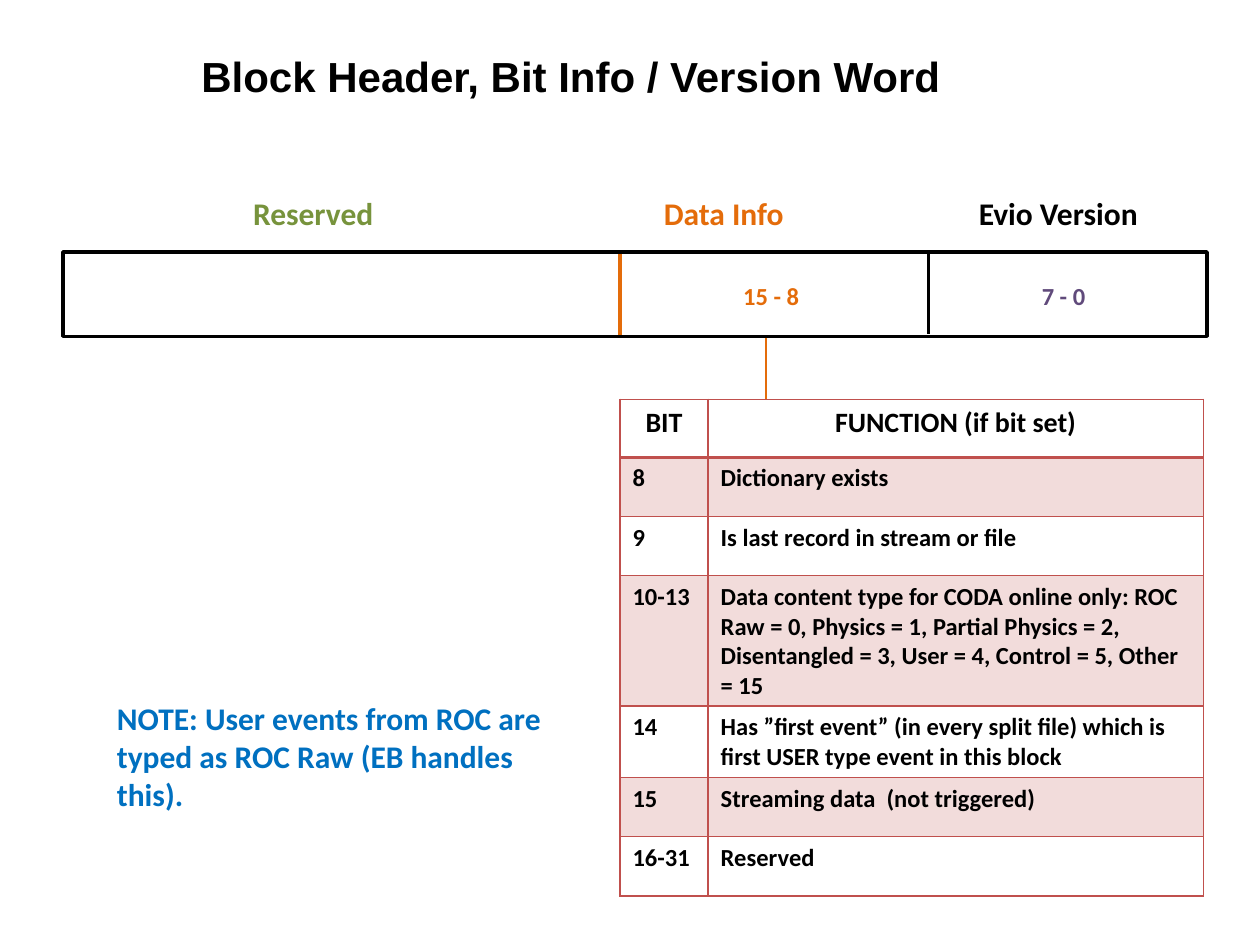
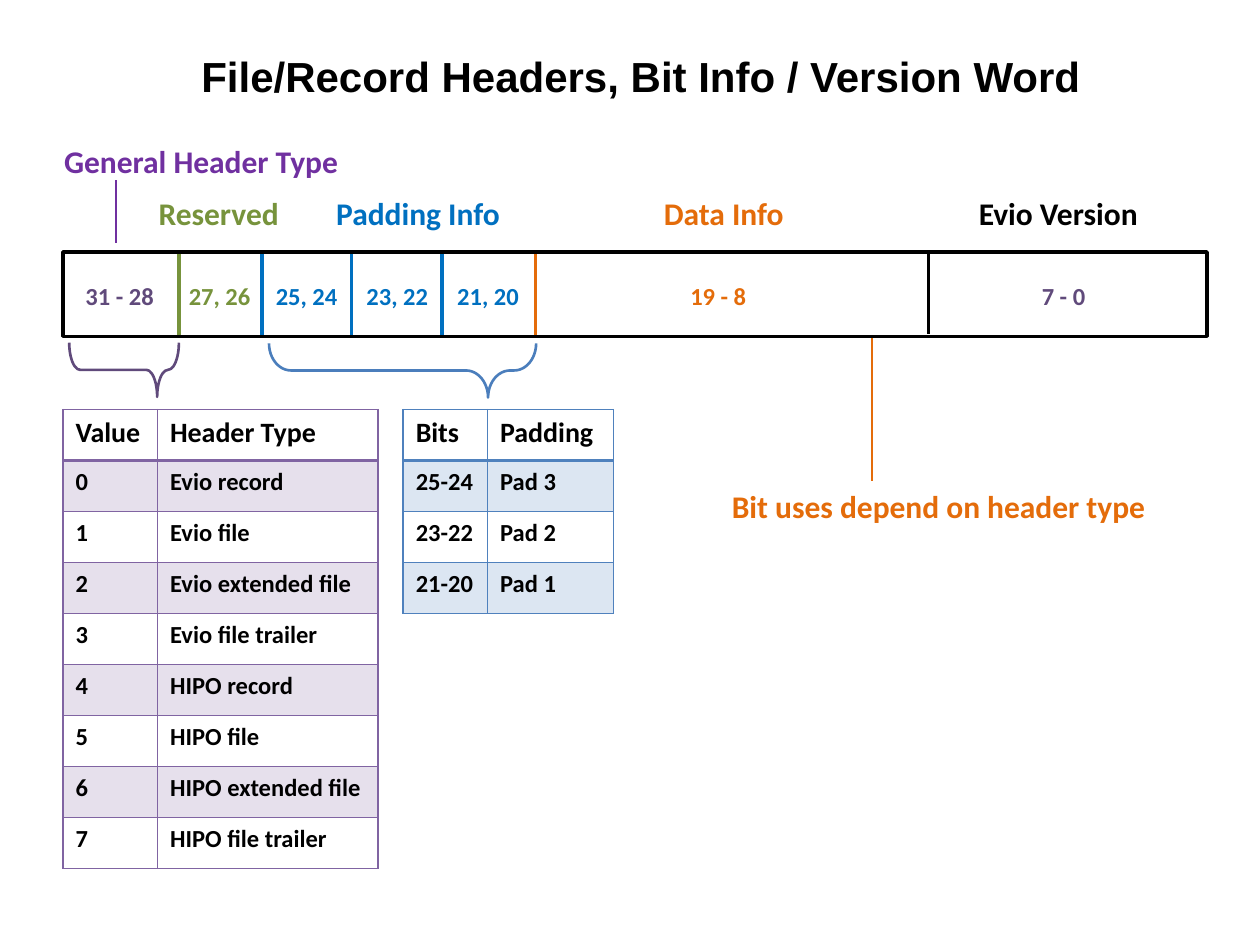
from pptx import Presentation
from pptx.util import Inches, Pt
from pptx.dml.color import RGBColor
from pptx.enum.shapes import MSO_SHAPE as Shape, MSO_CONNECTOR as Conn
from pptx.enum.text import PP_ALIGN as Align
from pptx.oxml import parse_xml
from pptx.oxml.ns import nsdecls, qn
from lxml.etree import SubElement as sub

rgb = RGBColor.from_string

# Colours
BLACK = "000000"
ORANGE = "E46C0A"
GREEN = "77933C"
BLUE = "0070C0"
VIOLET = "7030A0"
PLUM = "604A7B"

SHADOW = (f'<a:effectLst {nsdecls("a")}><a:outerShdw blurRad="38100" dist="38100" '
          'dir="2700000" algn="tl"><a:srgbClr val="000000"><a:alpha val="43000"/>'
          '</a:srgbClr></a:outerShdw></a:effectLst>')


def write(slide, text, left, top, width, high, size, color, face="Calibri", wrap=True):
    box = slide.shapes.add_textbox(Inches(left), Inches(top), Inches(width), Inches(high))
    box.text_frame.word_wrap = wrap
    box.text_frame.text = text
    run = box.text_frame.paragraphs[0].runs[0]
    run.font.size, run.font.name, run.font.bold = Pt(size), face, True
    run.font.color.rgb = rgb(color)
    return run


def rule(slide, x, top, end, color, width):
    line = slide.shapes.add_connector(
        Conn.STRAIGHT, Inches(x), Inches(top), Inches(x), Inches(end))
    line.line.color.rgb = rgb(color)
    line.line.width = Pt(width)
    sub(line._element.spPr, qn("a:effectLst"))


deck = Presentation()
deck.slide_width, deck.slide_height = Inches(10), Inches(7.5)
block = deck.slides.add_slide(deck.slide_layouts[6])
record = deck.slides.add_slide(deck.slide_layouts[6])

# Parts that both slides share: title, word bar and version field
titles = [(block, "Block Header, Bit Info / Version Word"),
          (record, "File/Record Headers, Bit Info / Version Word")]
for slide, title in titles:
    run = write(slide, title, 1.5, 0.35, 7.33, 0.5, 24, BLACK, "Arial")
    run._r.rPr.find(qn("a:solidFill")).addnext(parse_xml(SHADOW))
    rule(slide, 7.37, 1.99, 2.65, BLACK, 2)
    write(slide, "Evio Version", 7.67, 1.49, 1.47, 0.4, 18, BLACK, wrap=False)
    write(slide, "Data Info", 5.17, 1.49, 1.16, 0.4, 18, ORANGE, wrap=False)
    write(slide, "7 - 0", 8.17, 2.18, 0.77, 0.34, 14, PLUM)

# Block header: fields and note
rule(block, 6.08, 2.67, 3.17, ORANGE, 1.5)
rule(block, 4.92, 2.02, 2.67, ORANGE, 2)
write(block, "Reserved", 1.91, 1.49, 1.18, 0.4, 18, GREEN)
write(block, "15 - 8", 5.8, 2.18, 0.79, 0.34, 14, ORANGE)
write(block, "NOTE: User events from ROC are typed as ROC Raw (EB handles this).",
      0.83, 5.5, 3.58, 1.01, 18, BLUE)

# Record header: field borders
for x, color in [(1.42, GREEN), (2.08, BLUE), (2.79, BLUE), (3.51, BLUE), (4.25, ORANGE)]:
    rule(record, x, 2 if color != BLUE or x < 2.5 else 1.99, 2.66, color, 2)

# Record header: bit ranges
bits = [("31 - 28", 0.58, 0.84, PLUM), ("27, 26", 1.4, 0.75, GREEN),
        ("25, 24", 2.09, 0.75, BLUE), ("23, 22", 2.81, 0.75, BLUE),
        ("21, 20", 3.53, 0.75, BLUE), ("19 - 8", 5.38, 0.79, ORANGE)]
for text, left, width, color in bits:
    write(record, text, left, 2.18, width, 0.34, 14, color)

# Record header: field names and pointers
write(record, "Padding Info", 2.57, 1.49, 1.51, 0.4, 18, BLUE, wrap=False)
write(record, "General Header Type", 0.41, 1.08, 3.01, 0.4, 18, VIOLET)
write(record, "Reserved", 1.16, 1.49, 1.51, 0.4, 18, GREEN)
write(record, "Bit uses depend on header type", 5.71, 3.82, 3.7, 0.4, 18, ORANGE)
rule(record, 0.92, 1.43, 1.93, VIOLET, 1.5)
rule(record, 6.92, 2.67, 3.82, ORANGE, 1.5)

# Word bars and braces
outlines = [(block, Shape.RECTANGLE, 0.5, 2, 9.08, 0.67, BLACK, 2, []),
            (record, Shape.RECTANGLE, 0.5, 2, 9.08, 0.67, BLACK, 2, []),
            (record, Shape.LEFT_BRACE, 2.98, 1.88, 0.43, 2.12, "4B7EBC", 1.5, [0.407, 0.82]),
            (record, Shape.LEFT_BRACE, 0.77, 2.5, 0.43, 0.87, PLUM, 1.5, [0.407, 0.802])]
for slide, kind, left, top, width, high, color, thick, bends in outlines:
    form = slide.shapes.add_shape(
        kind, Inches(left), Inches(top), Inches(width), Inches(high))
    form.shadow.inherit = False
    form.fill.background()
    form.line.color.rgb = rgb(color)
    form.line.width = Pt(thick)
    for i, bend in enumerate(bends):
        form.adjustments[i] = bend
    if bends:
        form.rotation = 270

# Tables: slide, place, column widths, row heights, line, band, header align, rows
flags = [
    ("BIT", "FUNCTION (if bit set)"),
    ("8", "Dictionary exists"),
    ("9", "Is last record in stream or file"),
    ("10-13", "Data content type for CODA online only: ROC Raw = 0, Physics = 1, "
              "Partial Physics = 2,  Disentangled = 3, User = 4, Control = 5, Other = 15"),
    ("14", "Has ”first event” (in every split file) which is first USER type event "
           "in this block"),
    ("15", "Streaming data  (not triggered)"),
    ("16-31", "Reserved")]
kinds = ["Evio record", "Evio file", "Evio extended file", "Evio file trailer",
         "HIPO record", "HIPO file", "HIPO extended file", "HIPO file trailer"]
types = [("Value", "Header Type")] + [(str(i), kind) for i, kind in enumerate(kinds)]
pads = [("Bits", "Padding"), ("25-24", "Pad 3"), ("23-22", "Pad 2"), ("21-20", "Pad 1")]
tables = [
    (block, 4.92, 3.17, (0.7, 3.93), [0.46, 0.47, 0.47, 0.68, 0.47, 0.47, 0.47],
     "C0504D", "F2DCDB", Align.CENTER, flags),
    (record, 0.5, 3.25, (0.75, 1.75), [0.405] * 9, "8064A2", "E6E0EC", Align.LEFT, types),
    (record, 3.2, 3.25, (0.67, 1), [0.405] * 4, "4F81BD", "DCE6F2", Align.LEFT, pads)]
for slide, left, top, cols, highs, edge, band, align, rows in tables:
    table = slide.shapes.add_table(
        len(rows), 2, Inches(left), Inches(top), Inches(sum(cols)), Inches(sum(highs))).table
    table.first_row = table.horz_banding = False
    for col, width in zip(table.columns, cols):
        col.width = Inches(width)
    for r, row in enumerate(rows):
        table.rows[r].height = Inches(highs[r])
        for c, text in enumerate(row):
            cell = table.cell(r, c)
            cell.text_frame.text = text
            para = cell.text_frame.paragraphs[0]
            para.alignment = Align.LEFT if r else align
            font = para.runs[0].font
            font.size, font.name, font.bold = Pt(14 if r else 16), "Calibri", True
            font.color.rgb = rgb(BLACK)
            # Borders come before the fill; the rule under the header is double
            for side in "LRTB":
                thick = 2 if (r, side) in [(0, "B"), (1, "T")] else 1
                line = sub(cell._tc.get_or_add_tcPr(), qn(f"a:ln{side}"), w=str(Pt(thick)))
                sub(sub(line, qn("a:solidFill")), qn("a:srgbClr"), val=edge)
            if r % 2:
                cell.fill.solid()
                cell.fill.fore_color.rgb = rgb(band)
            else:
                cell.fill.background()

deck.save("out.pptx")
